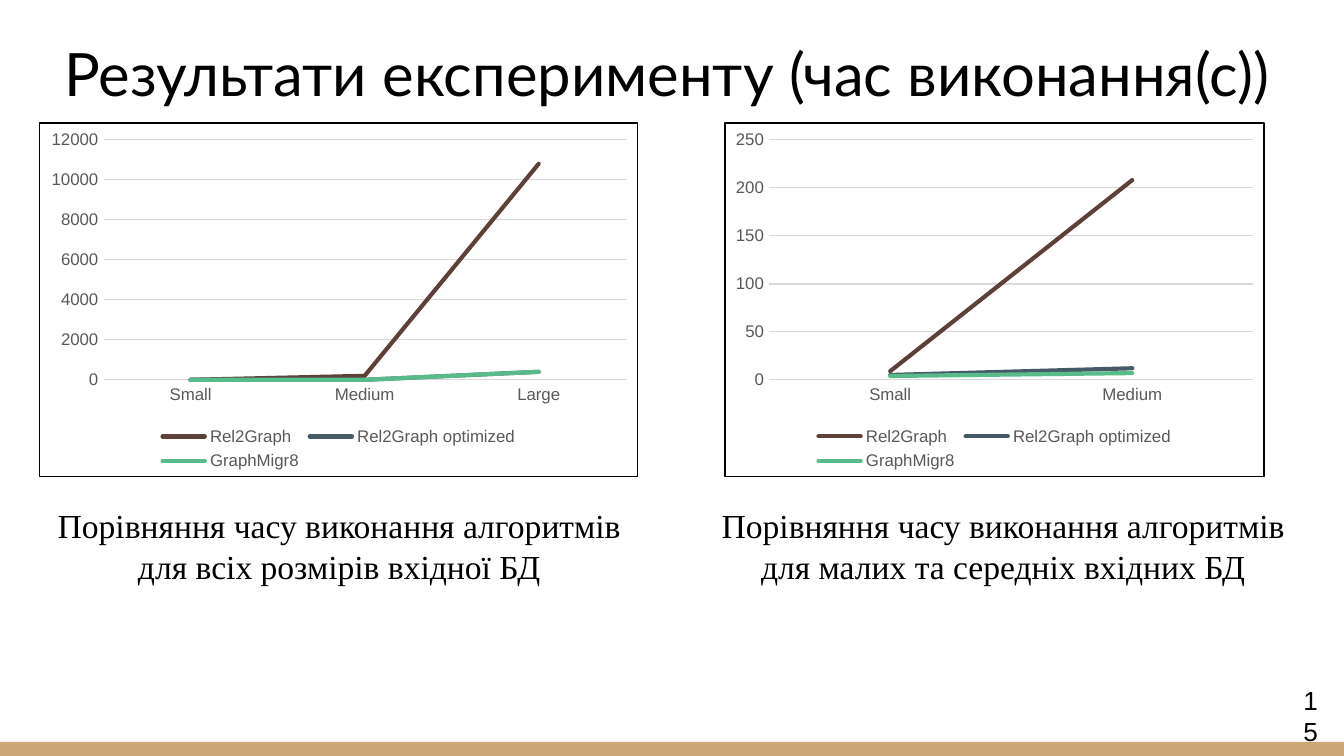
from dataclasses import dataclass

from lxml import etree
from pptx import Presentation
from pptx import util as u
from pptx.chart.data import CategoryChartData
from pptx.dml.color import RGBColor
from pptx.enum import chart as ch, shapes, text


@dataclass(frozen=True)
class Theme:
    ink: str = "000000"
    paper: str = "FFFFFF"
    gray: str = "595959"
    grid: str = "D9D9D9"
    band: str = "CCA677"
    lines: tuple = ("5D4037", "455A64", "57BB8A")
    head: str = "Lato"
    sans: str = "Arial"
    serif: str = "Times New Roman"
    head_size: float = 32
    note_size: float = 18
    page_size: float = 14
    chart_size: float = 10
    axis_size: float = 9
    thin: float = 0.75
    thick: float = 2.25


@dataclass(frozen=True)
class Panel:
    left: float
    width: float
    note_left: float
    cats: tuple
    rows: tuple
    top: float
    step: float
    note: tuple


THEME = Theme()
NAMES = ("Rel2Graph", "Rel2Graph optimized", "GraphMigr8")
PANELS = (
    Panel(0.29, 4.46, 0.3, ("Small", "Medium", "Large"),
          ((0, 200, 10800), (0, 0, 400), (0, 0, 400)), 12000, 2000,
          ("Порівняння часу виконання алгоритмів",
           "для всіх розмірів вхідної БД")),
    Panel(5.39, 4.02, 5.24, ("Small", "Medium"),
          ((9, 208), (5, 12), (4, 7)), 250, 50,
          ("Порівняння часу виконання алгоритмів",
           "для малих та середніх вхідних БД")),
)


def style(font, face: str, size: float, color: str) -> None:
    font.name = face
    font.size = u.Pt(size)
    font.color.rgb = RGBColor.from_string(color)


def stroke(line, color: str, width: float) -> None:
    line.color.rgb = RGBColor.from_string(color)
    line.width = u.Pt(width)


def write(frame, rows: tuple, face: str, size: float, align) -> None:
    for i, row in enumerate(rows):
        para = frame.paragraphs[0] if i == 0 else frame.add_paragraph()
        para.alignment = align
        run = para.add_run()
        run.text = row
        style(run.font, face, size, THEME.ink)


def add_text(slide, box: tuple, rows: tuple, face: str, size: float,
             align, wrap: bool) -> None:
    frame = slide.shapes.add_textbox(*map(u.Inches, box)).text_frame
    frame.word_wrap = wrap
    write(frame, rows, face, size, align)


def frame_chart(chart) -> None:
    """Give the chart area its fill and border."""
    c = "http://schemas.openxmlformats.org/drawingml/2006/chart"
    a = "http://schemas.openxmlformats.org/drawingml/2006/main"
    area = etree.fromstring(
        f'<c:spPr xmlns:c="{c}" xmlns:a="{a}">'
        f'<a:solidFill><a:srgbClr val="{THEME.paper}"/></a:solidFill>'
        f'<a:ln w="{u.Pt(THEME.thin)}"><a:solidFill>'
        f'<a:srgbClr val="{THEME.ink}"/></a:solidFill></a:ln></c:spPr>')
    chart.element.find(f"{{{c}}}chart").addnext(area)


def add_chart(slide, panel: Panel) -> None:
    data = CategoryChartData(number_format="General")
    data.categories = panel.cats
    for name, row in zip(NAMES, panel.rows):
        data.add_series(name, row)
    box = (panel.left, 0.91, panel.width, 2.64)
    chart = slide.shapes.add_chart(
        ch.XL_CHART_TYPE.LINE, *map(u.Inches, box), data).chart
    style(chart.font, THEME.sans, THEME.chart_size, THEME.ink)
    frame_chart(chart)
    chart.has_title = False
    chart.has_legend = True
    chart.legend.position = ch.XL_LEGEND_POSITION.BOTTOM
    chart.legend.include_in_layout = False
    style(chart.legend.font, THEME.sans, THEME.axis_size, THEME.gray)

    # Axes
    cat, val = chart.category_axis, chart.value_axis
    for axis in (cat, val):
        axis.major_tick_mark = ch.XL_TICK_MARK.NONE
        axis.minor_tick_mark = ch.XL_TICK_MARK.NONE
        style(axis.tick_labels.font, THEME.sans, THEME.axis_size, THEME.gray)
    stroke(cat.format.line, THEME.grid, THEME.thin)
    val.format.line.fill.background()
    val.has_major_gridlines = True
    stroke(val.major_gridlines.format.line, THEME.grid, THEME.thin)
    val.minimum_scale, val.maximum_scale = 0, panel.top
    val.major_unit = panel.step

    # Series, with round line ends
    plot = chart.plots[0]
    plot.vary_by_categories = False
    for series, color in zip(plot.series, THEME.lines):
        series.smooth = False
        series.marker.style = ch.XL_MARKER_STYLE.NONE
        stroke(series.format.line, color, THEME.thick)
    for line in chart.element.xpath(".//c:ser/c:spPr/a:ln"):
        line.set("cap", "rnd")


def add_title(slide, row: str) -> None:
    title = slide.shapes.title
    title.left, title.top, title.width, title.height = map(
        u.Inches, (0.38, 0, 9.32, 0.91))
    frame = title.text_frame
    frame.auto_size = text.MSO_AUTO_SIZE.NONE
    frame.vertical_anchor = text.MSO_ANCHOR.BOTTOM
    frame.margin_left = frame.margin_right = u.Inches(0.1)
    frame.margin_top = frame.margin_bottom = u.Inches(0.1)
    write(frame, (row,), THEME.head, THEME.head_size, text.PP_ALIGN.LEFT)


def add_band(slide) -> None:
    band = slide.shapes.add_shape(
        shapes.MSO_SHAPE.RECTANGLE, *map(u.Inches, (0, 5.52, 10, 0.11)))
    band.shadow.inherit = False
    band.fill.solid()
    band.fill.fore_color.rgb = RGBColor.from_string(THEME.band)
    band.line.fill.background()


def main() -> None:
    # Widescreen, 16 to 9
    deck = Presentation()
    deck.slide_width = u.Inches(10)
    deck.slide_height = u.Inches(10) * 9 // 16
    slide = deck.slides.add_slide(deck.slide_layouts[5])

    # Bottom band, title and page number
    add_band(slide)
    add_title(slide, "Результати експерименту (час виконання(с))")
    add_text(slide, (9.6, 5.04, 0.31, 0.34), ("15",), THEME.sans,
             THEME.page_size, text.PP_ALIGN.LEFT, True)

    # Charts with their captions
    for panel in PANELS:
        add_chart(slide, panel)
        add_text(slide, (panel.note_left, 3.71, 4.45, 0.71), panel.note,
                 THEME.serif, THEME.note_size, text.PP_ALIGN.CENTER, False)

    deck.save("out.pptx")


if __name__ == "__main__":
    main()
